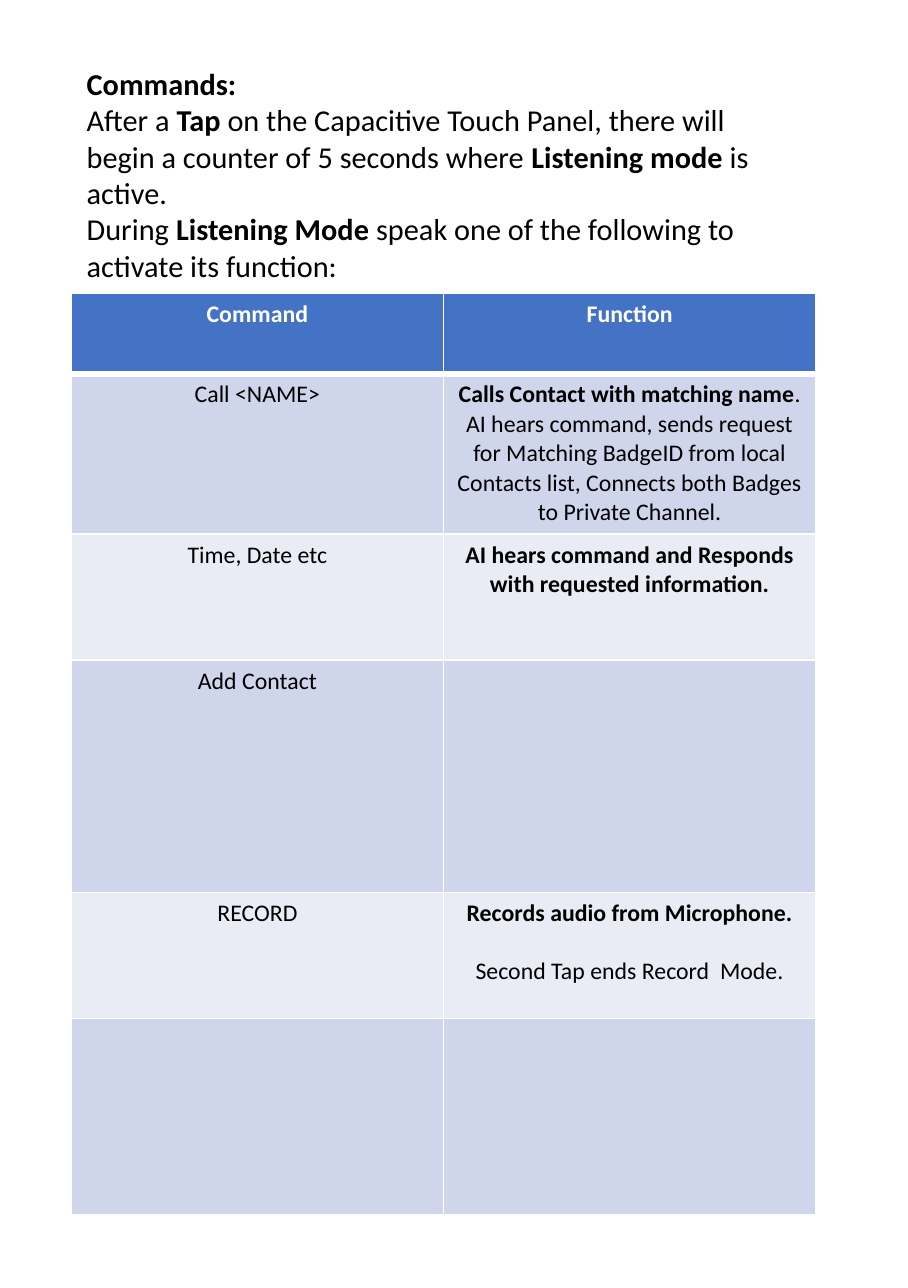
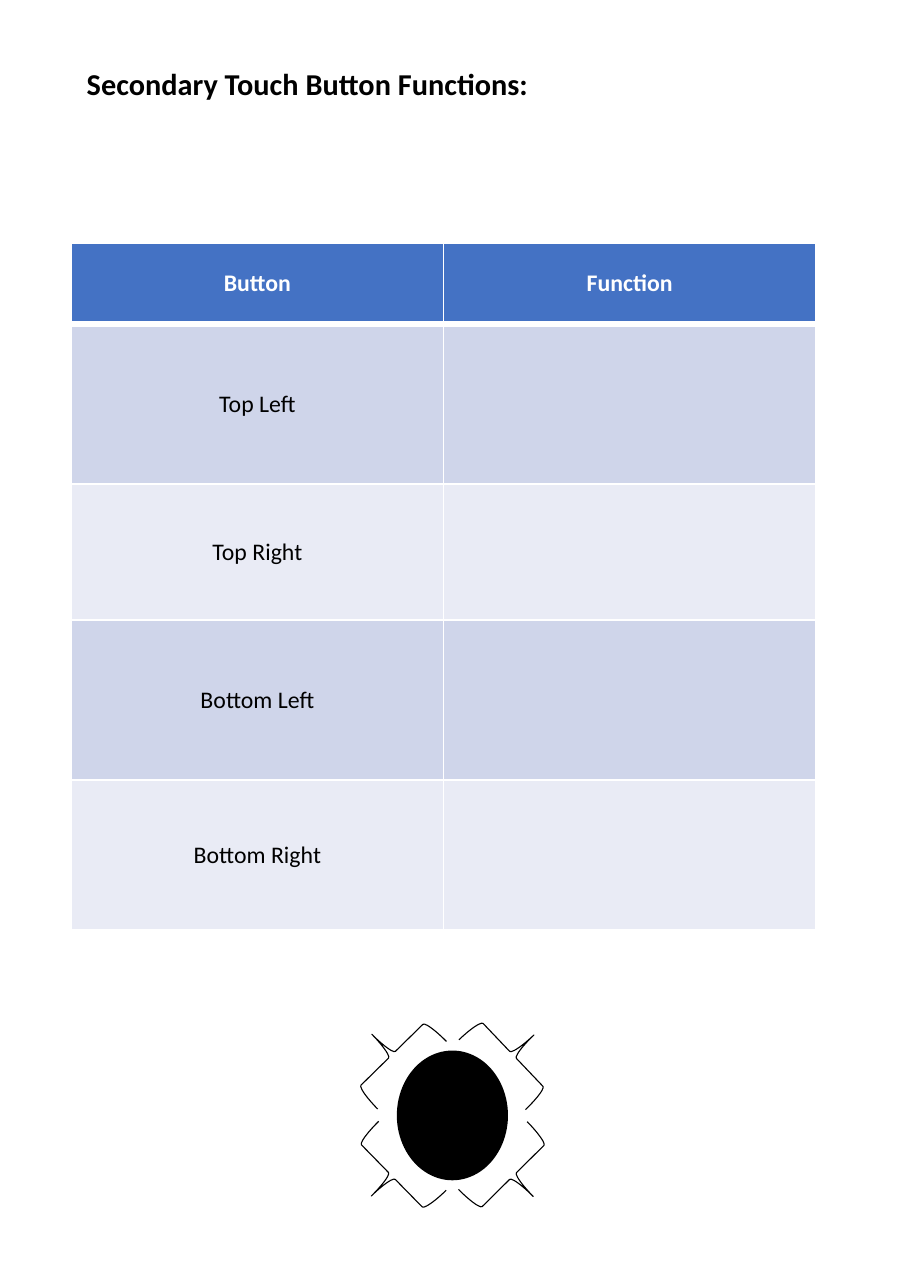
from lxml import etree
from pptx import Presentation
from pptx.dml.color import RGBColor
from pptx.enum import shapes, text
from pptx.oxml.ns import qn
from pptx.util import Pt

FONT = "Calibri"
COLORS = {"ink": "000000", "paper": "FFFFFF", "header": "4472C4",
          "odd": "CFD5EA", "even": "E9EBF5"}
SLIDE_W, SLIDE_H = 419.8, 595.4
LEFT, TOP, WIDTH = 33, 26.6, 344.2
LINE_GAP = 13.4


def rgb(name):
    return RGBColor.from_string(COLORS[name])


def write(p, marked, size, color="ink", bold=False):
    """Fill a paragraph; *stars* toggle bold and _underscores_ toggle italic."""
    for i, part in enumerate(marked.split("*")):
        for j, words in enumerate(part.split("_")):
            if words:
                r = p.add_run()
                r.text = words
                r.font.name, r.font.size = FONT, Pt(size)
                r.font.bold = bold or i % 2 == 1
                r.font.italic = j % 2 == 1
                r.font.color.rgb = rgb(color)


def add_intro(s, box, lines):
    tf = s.shapes.add_textbox(*map(Pt, box)).text_frame
    tf.word_wrap = True
    for i, line in enumerate(lines):
        write(tf.add_paragraph() if i else tf.paragraphs[0], line, 14)


def set_borders(cell, widths):
    """Draw white cell edges; widths maps an edge letter to points."""
    tcPr = cell._tc.get_or_add_tcPr()
    for edge, width in widths.items():
        ln = etree.SubElement(tcPr, qn(f"a:ln{edge}"), w=str(Pt(width)))
        fill = etree.SubElement(ln, qn("a:solidFill"))
        etree.SubElement(fill, qn("a:srgbClr"), val=COLORS["paper"])


def fill_cell(cell, row, paragraphs, anchor):
    set_borders(cell, {"L": 1, "R": 1, "T": 3 if row == 1 else 1,
                       "B": 3 if row == 0 else 1})
    cell.fill.solid()
    cell.fill.fore_color.rgb = rgb("header" if row == 0 else
                                   "odd" if row % 2 else "even")
    cell.margin_left = cell.margin_right = Pt(5.8)
    cell.margin_top = cell.margin_bottom = Pt(2.9)
    cell.vertical_anchor = anchor
    tf = cell.text_frame
    for i, (words, gap) in enumerate(paragraphs):
        p = tf.add_paragraph() if i else tf.paragraphs[0]
        p.alignment = text.PP_ALIGN.CENTER
        p.space_before = Pt(gap)
        write(p, words, 11, "ink" if row else "paper", bold=row == 0)


def add_grid(s, left, top, width, heights, rows, anchor):
    """Each cell is a string or a list of (words, space before) pairs."""
    table = s.shapes.add_table(len(rows), 2, Pt(left), Pt(top), Pt(width),
                               Pt(sum(heights))).table
    for col in table.columns:
        col.width = Pt(width / 2)
    for i, (height, row) in enumerate(zip(heights, rows)):
        table.rows[i].height = Pt(height)
        for j, content in enumerate(row):
            if isinstance(content, str):
                content = [(content, 0)]
            fill_cell(table.cell(i, j), i, content, anchor)


def add_outline(s, kind, cx, cy, w, h, weight):
    sp = s.shapes.add_shape(kind, Pt(cx - w / 2), Pt(cy - h / 2), Pt(w), Pt(h))
    sp.shadow.inherit = False
    sp.fill.background()
    sp.line.color.rgb = rgb("ink")
    sp.line.width = Pt(weight)
    return sp


def add_touch_pad(s, cx, cy):
    """A round pad ringed by four braces, one for each button."""
    pad = add_outline(s, shapes.MSO_SHAPE.OVAL, cx, cy, 50.4, 59, 1)
    pad.fill.solid()
    pad.fill.fore_color.rgb = rgb("ink")
    offset = 28
    for dx, dy, angle in ((-1, -1, 45.5), (1, 1, 225.3),
                          (-1, 1, 315.6), (1, -1, 136.4)):
        brace = add_outline(s, shapes.MSO_SHAPE.LEFT_BRACE, cx + dx * offset,
                            cy + dy * offset, 26.6, 44.6, 0.5)
        brace.rotation = angle


def add_commands_slide(s):
    add_intro(s, (LEFT, TOP, WIDTH, 108.7), [
        "*Commands:*",
        "After a *Tap *on the Capacitive Touch Panel, there will begin a "
        "counter of 5 seconds where *Listening mode* is active.",
        "During *Listening Mode *speak one of the following to activate "
        "its function:"])
    add_grid(s, LEFT, 135.4, WIDTH, [37.4, 74.2, 58.3, 107.3, 58.3, 90.7], [
        ("Command", "Function"),
        ("Call <NAME>", [
            ("*Calls Contact with matching name*.", 0),
            ("AI hears command, sends request for Matching BadgeID from "
             "local Contacts list, Connects both Badges to Private Channel.",
             0)]),
        ("Time, Date etc",
         "*AI hears command and Responds with requested information.*"),
        ("Add Contact", ""),
        ("RECORD", [("*Records audio from Microphone.*", 0),
                    ("Second Tap ends Record  Mode_._", LINE_GAP)]),
        ("", "")], text.MSO_ANCHOR.TOP)


def add_buttons_slide(s):
    add_intro(s, (LEFT, TOP, WIDTH, 24.5),
              ["*Secondary Touch Button Functions:*"])
    buttons = ("Top Left", "Top Right", "Bottom Left", "Bottom Right")
    add_grid(s, LEFT, 112.3, WIDTH, [37.4, 74.2, 62.6, 74.2, 69.1],
             [("Button", "Function")] + [(name, "") for name in buttons],
             text.MSO_ANCHOR.MIDDLE)
    add_touch_pad(s, 209.2, 515.6)


def main():
    prs = Presentation()
    prs.slide_width, prs.slide_height = Pt(SLIDE_W), Pt(SLIDE_H)
    for build in (add_commands_slide, add_buttons_slide):
        build(prs.slides.add_slide(prs.slide_layouts[6]))
    prs.save("out.pptx")


if __name__ == "__main__":
    main()
